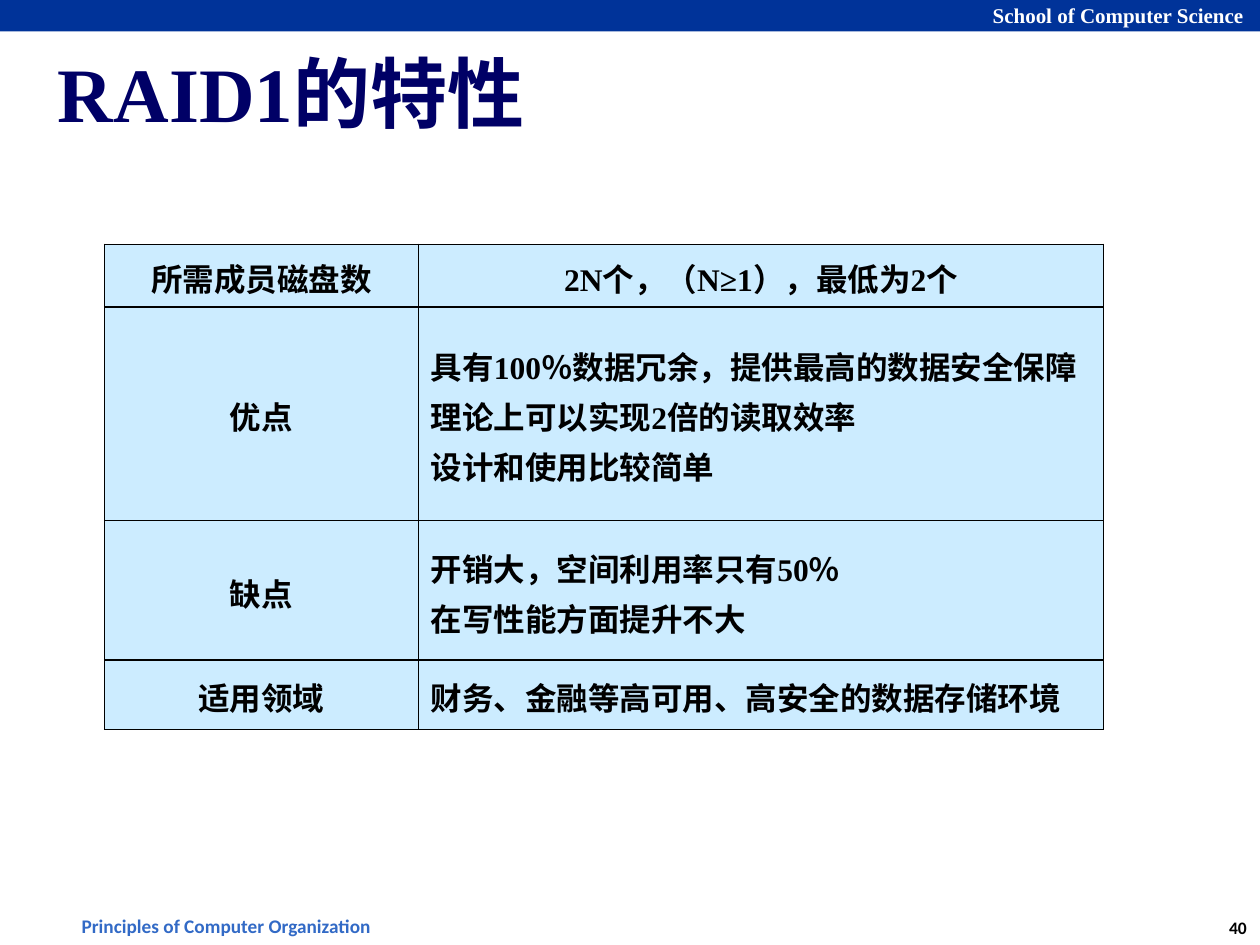
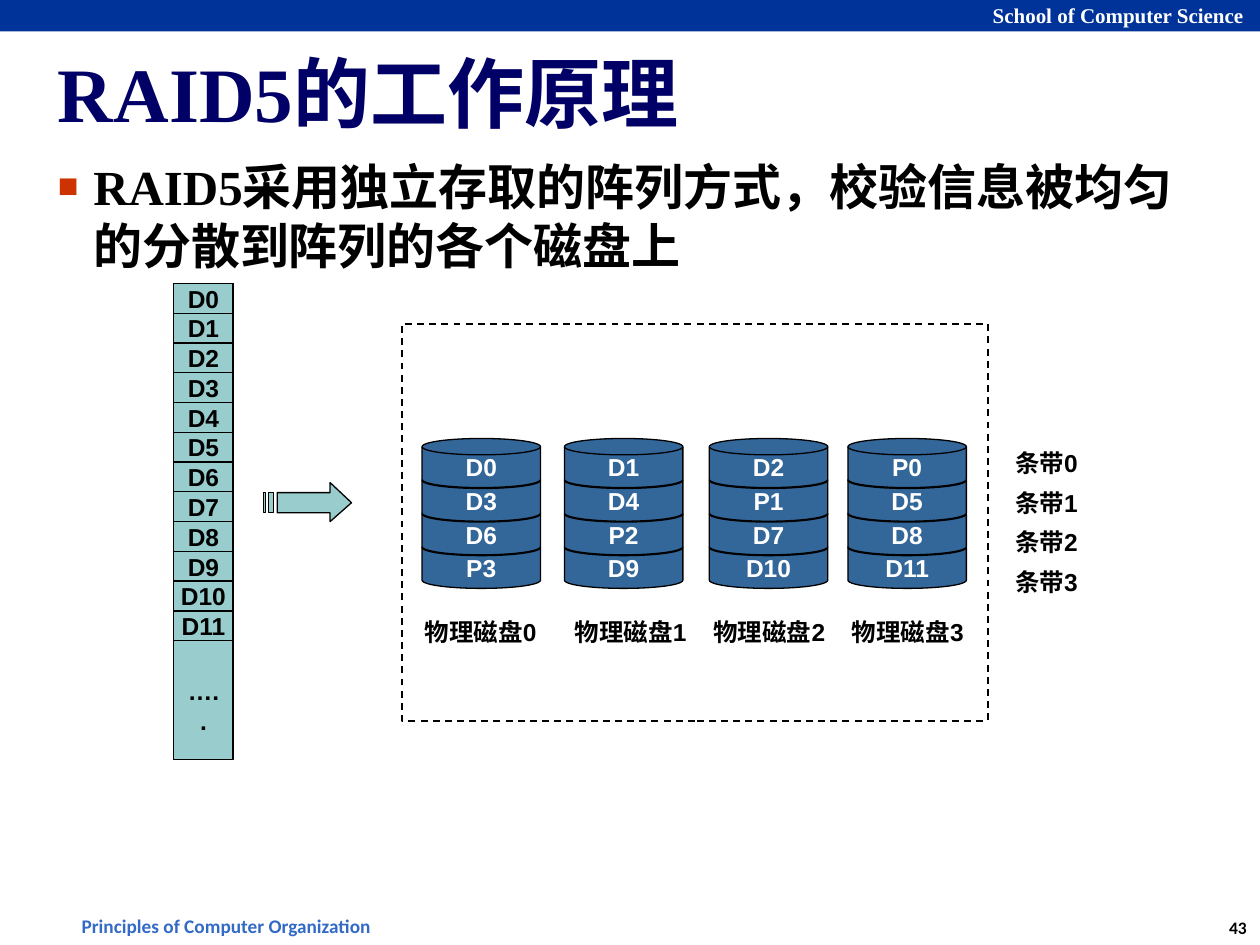
from dataclasses import dataclass

from lxml import etree
from pptx import Presentation
from pptx.dml.color import RGBColor
from pptx.enum import dml, shapes, text
from pptx.oxml import ns
from pptx.util import Inches, Pt


@dataclass(frozen=True)
class Theme:
    band: str = "003399"
    title: str = "000066"
    footer: str = "326AC6"
    bullet: str = "CC3300"
    ink: str = "000000"
    paper: str = "FFFFFF"
    table: str = "CCECFF"
    block: str = "99CCCC"
    disk: str = "336699"
    serif: str = "Times New Roman"
    sans: str = "Arial"
    small: str = "Calibri"
    title_size: int = 44
    body_size: int = 28
    table_size: int = 18
    label_size: int = 14
    header_size: int = 12
    footer_size: int = 11
    number_size: int = 10


THEME = Theme()
LEFT, CENTER = text.PP_ALIGN.LEFT, text.PP_ALIGN.CENTER
TITLE_ONLY, TITLE_AND_BODY = 5, 1

HEADER = "School of Computer Science"
FOOTER = "Principles of Computer Organization"

RAID1 = {
    "title": "RAID1的特性",
    "number": 40,
    "rows": [
        ("所需成员磁盘数", ["2N个，（N≥1），最低为2个"]),
        ("优点", ["具有100％数据冗余，提供最高的数据安全保障",
                "理论上可以实现2倍的读取效率",
                "设计和使用比较简单"]),
        ("缺点", ["开销大，空间利用率只有50％", "在写性能方面提升不大"]),
        ("适用领域", ["财务、金融等高可用、高安全的数据存储环境"]),
    ],
    "row_heights": [0.46, 1.16, 1.11, 0.55],
    "column_widths": [2.49, 5.44],
}

RAID5 = {
    "title": "RAID5的工作原理",
    "number": 43,
    "body": "RAID5采用独立存取的阵列方式，校验信息被均匀的分散到阵列的各个磁盘上",
    "block_count": 12,
    # disk left, label left, stripes from top to bottom
    "disks": [
        (3.35, 3.42, ["D0", "D3", "D6", "P3"]),
        (4.48, 4.61, ["D1", "D4", "P2", "D9"]),
        (5.63, 5.71, ["D2", "P1", "D7", "D10"]),
        (6.73, 6.81, ["P0", "D5", "D8", "D11"]),
    ],
}

ARROW = [
    [(2.62, 3.83), (2.62, 3.91), (2.2, 3.91), (2.2, 4.07),
     (2.62, 4.07), (2.62, 4.14), (2.79, 3.99)],
    [(2.13, 3.91), (2.13, 4.07), (2.17, 4.07), (2.17, 3.91)],
    [(2.09, 3.91), (2.09, 4.07), (2.11, 4.07), (2.11, 3.91)],
]


def inches(*lengths):
    return [Inches(length) for length in lengths]


def rgb(color):
    return RGBColor.from_string(color)


def write(frame, lines, *, size, font=THEME.sans, color=THEME.ink, align=CENTER,
          anchor=text.MSO_ANCHOR.MIDDLE, wrap=False, inset=None, spacing=None):
    """Fill a text frame with one paragraph per line."""
    frame.word_wrap = wrap
    frame.auto_size = text.MSO_AUTO_SIZE.NONE
    frame.vertical_anchor = anchor
    if inset is not None:
        frame.margin_left = frame.margin_right = Inches(inset)
        frame.margin_top = frame.margin_bottom = Inches(inset)
    write_paragraphs(frame, lines, size, font, color, align, spacing)


def write_paragraphs(frame, lines, size, font, color, align, spacing=None):
    for index, line in enumerate(lines):
        para = frame.add_paragraph() if index else frame.paragraphs[0]
        para.alignment = align
        para.space_before = Pt(0)
        if spacing:
            para.line_spacing = spacing
        span = para.add_run()
        span.text = line
        span.font.name = font
        span.font.size = Pt(size)
        span.font.bold = True
        span.font.color.rgb = rgb(color)


def add_label(page, at, label, **style):
    box = page.shapes.add_textbox(*inches(*at))
    write(box.text_frame, [label], **style)


def paint(shape, fill=None, line=None, width=0.75):
    shape.shadow.inherit = False
    if fill:
        shape.fill.solid()
        shape.fill.fore_color.rgb = rgb(fill)
    else:
        shape.fill.background()
    if line:
        shape.line.color.rgb = rgb(line)
        shape.line.width = Pt(width)
    else:
        shape.line.fill.background()


def add_box(page, kind, at, label=None, color=THEME.ink, **look):
    box = page.shapes.add_shape(kind, *inches(*at))
    paint(box, **look)
    if label:
        write(box.text_frame, [label], size=THEME.label_size, color=color)
    return box


def place(shape, at):
    shape.left, shape.top, shape.width, shape.height = inches(*at)


def add_page(deck, layout, content):
    """Add a slide with the title, band and footer that all slides share."""
    page = deck.slides.add_slide(deck.slide_layouts[layout])
    add_box(page, shapes.MSO_SHAPE.RECTANGLE, (0, 0, 10, 0.25), fill=THEME.band)
    add_label(page, (7.78, -0.03, 2.21, 0.3), HEADER, size=THEME.header_size,
              font=THEME.serif, color=THEME.paper, align=LEFT)
    add_label(page, (0.55, 7.2, 2.56, 0.29), FOOTER, size=THEME.footer_size,
              font=THEME.small, color=THEME.footer, align=LEFT)
    add_label(page, (9.64, 7.23, 0.37, 0.27), str(content["number"]),
              size=THEME.number_size, font=THEME.small)
    title = page.shapes.title
    place(title, (0.42, 0.28, 9.17, 0.89))
    write(title.text_frame, [content["title"]], size=THEME.title_size, font=THEME.serif,
          color=THEME.title, align=LEFT, wrap=True, inset=0.04)
    return page


def add_bullet(para):
    props = para._p.get_or_add_pPr()
    props.set("marL", str(Inches(0.28)))
    props.set("indent", str(-Inches(0.28)))
    color = etree.SubElement(props, ns.qn("a:buClr"))
    etree.SubElement(color, ns.qn("a:srgbClr"), val=THEME.bullet)
    etree.SubElement(props, ns.qn("a:buSzPct"), val="70000")
    etree.SubElement(props, ns.qn("a:buFont"), typeface=THEME.sans)
    etree.SubElement(props, ns.qn("a:buChar"), char="■")


def add_borders(cell):
    props = cell._tc.get_or_add_tcPr()
    for side in ("lnL", "lnR", "lnT", "lnB"):
        line = etree.SubElement(props, ns.qn(f"a:{side}"), w=str(Pt(1)))
        fill = etree.SubElement(line, ns.qn("a:solidFill"))
        etree.SubElement(fill, ns.qn("a:srgbClr"), val=THEME.ink)


def add_feature_table(page, content):
    rows, heights, widths = (content[key] for key in ("rows", "row_heights", "column_widths"))
    frame = page.shapes.add_table(len(rows), len(widths), *inches(
        0.83, 1.94, sum(widths), sum(heights)))
    table = frame.table
    table.first_row = table.horz_banding = False
    for column, width in zip(table.columns, widths):
        column.width = Inches(width)
    for index, (heading, details) in enumerate(rows):
        table.rows[index].height = Inches(heights[index])
        detail_align = LEFT if index else CENTER
        for column, (lines, align) in enumerate([([heading], CENTER), (details, detail_align)]):
            cell = table.cell(index, column)
            add_borders(cell)
            cell.fill.solid()
            cell.fill.fore_color.rgb = rgb(THEME.table)
            cell.vertical_anchor = text.MSO_ANCHOR.MIDDLE
            write_paragraphs(cell.text_frame, lines, THEME.table_size, THEME.serif,
                             THEME.ink, align, spacing=1.1)


def add_block_column(page, count):
    left, top, width, height = 1.38, 2.25, 0.47, 3.78
    step = height / (count + 4)
    look = {"fill": THEME.block, "line": THEME.ink}
    rectangle = shapes.MSO_SHAPE.RECTANGLE
    add_box(page, rectangle, (left, top, width, height), **look)
    for index in range(count):
        add_box(page, rectangle, (left, top + index * step, width, step), f"D{index}", **look)
    add_label(page, (left, 5.32, width, 0.33), "…..", size=THEME.label_size,
              wrap=True, anchor=text.MSO_ANCHOR.TOP)


def add_striped_arrow(page):
    outlines = [[inches(*point) for point in outline] for outline in ARROW]
    builder = page.shapes.build_freeform(*outlines[0][0])
    for index, (start, *points) in enumerate(outlines):
        if index:
            builder.move_to(*start)
        builder.add_line_segments(points, close=True)
    paint(builder.convert_to_shape(), fill=THEME.block, line=THEME.ink)


def add_disk_array(page, disks):
    frame = add_box(page, shapes.MSO_SHAPE.RECTANGLE, (3.19, 2.57, 4.65, 3.15),
                    line=THEME.ink, width=1)
    frame.line.dash_style = dml.MSO_LINE.DASH
    top, bottom = 3.48, 4.28
    for number, (left, label_left, stripes) in enumerate(disks):
        step = (bottom - top) / (len(stripes) - 1)
        for row, stripe in reversed(list(enumerate(stripes))):
            add_box(page, shapes.MSO_SHAPE.FLOWCHART_MAGNETIC_DISK,
                    (left, top + row * step, 0.94, 0.39), stripe,
                    color=THEME.paper, fill=THEME.disk, line=THEME.ink)
        add_label(page, (label_left, 4.93, 0.79, 0.16), f"物理磁盘{number}",
                  size=THEME.label_size)
    for row in range(len(disks[0][2])):
        add_label(page, (7.91, 3.59 + row * 0.95 / 3, 0.79, 0.16), f"条带{row}",
                  size=THEME.label_size)


def build_raid1(deck):
    page = add_page(deck, TITLE_ONLY, RAID1)
    add_feature_table(page, RAID1)


def build_raid5(deck):
    page = add_page(deck, TITLE_AND_BODY, RAID5)
    body = page.placeholders[1]
    place(body, (0.42, 1.2, 9.17, 5.72))
    write(body.text_frame, [RAID5["body"]], size=THEME.body_size, font=THEME.serif,
          align=LEFT, anchor=text.MSO_ANCHOR.TOP, wrap=True, inset=0.04)
    add_bullet(body.text_frame.paragraphs[0])
    add_block_column(page, RAID5["block_count"])
    add_striped_arrow(page)
    add_disk_array(page, RAID5["disks"])


def main():
    deck = Presentation()
    deck.slide_width, deck.slide_height = inches(10, 7.5)
    build_raid1(deck)
    build_raid5(deck)
    deck.save("out.pptx")


if __name__ == "__main__":
    main()
